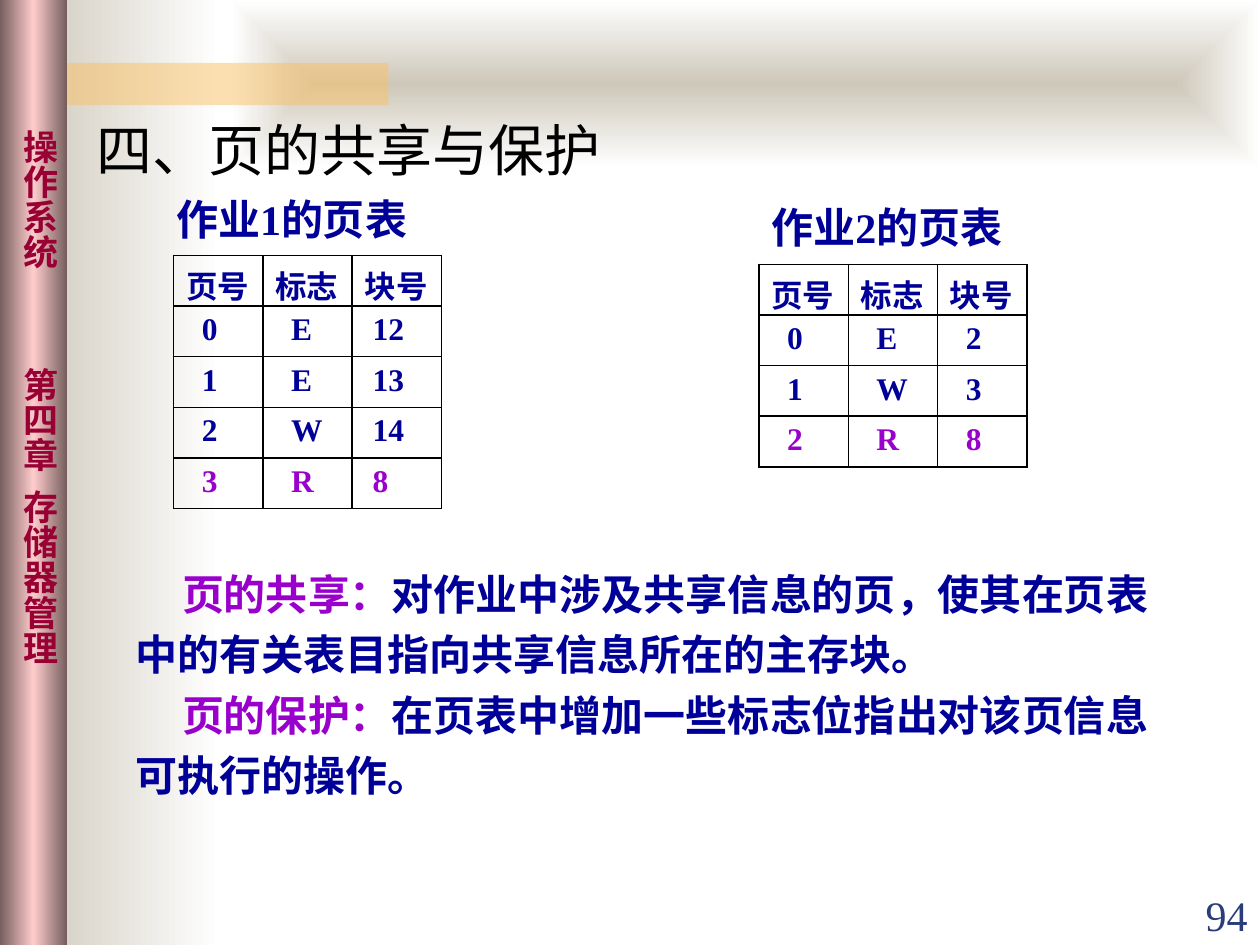
from pptx import Presentation
from pptx.dml.color import RGBColor
from pptx.enum.lang import MSO_LANGUAGE_ID
from pptx.enum.shapes import MSO_SHAPE
from pptx.enum.text import MSO_ANCHOR, MSO_AUTO_SIZE, PP_ALIGN
from pptx.oxml import parse_xml
from pptx.oxml.ns import nsdecls, qn
from pptx.oxml.xmlchemy import OxmlElement
from pptx.util import Cm, Pt

RECTANGLE = MSO_SHAPE.RECTANGLE
MIDDLE, BOTTOM = MSO_ANCHOR.MIDDLE, MSO_ANCHOR.BOTTOM
GROW = MSO_AUTO_SIZE.SHAPE_TO_FIT_TEXT
RIGHT = PP_ALIGN.RIGHT
CHINESE = MSO_LANGUAGE_ID.SIMPLIFIED_CHINESE

SERIF, SANS = "Times New Roman", "Noto Sans CJK SC"

BLACK = RGBColor(0x00, 0x00, 0x00)
WHITE = RGBColor(0xFF, 0xFF, 0xFF)
STONE = RGBColor(0xCE, 0xC8, 0xBA)
ORANGE = RGBColor(0xFA, 0xC1, 0x64)
MAUVE = RGBColor(0x76, 0x5E, 0x5E)
PINK = RGBColor(0xFF, 0xCC, 0xCC)
CRIMSON = RGBColor(0x99, 0x00, 0x33)
SLATE = RGBColor(0x2A, 0x3D, 0x7A)
NAVY = RGBColor(0x00, 0x00, 0x99)
PURPLE = RGBColor(0x99, 0x00, 0xCC)

LINEAR = '<a:lin ang="0" scaled="1"/>'
FROM_CENTRE = ('<a:path path="shape"><a:fillToRect l="50000" t="50000" '
               'r="50000" b="50000"/></a:path>')

COLUMN_WIDTH, ROW_HEIGHT = Cm(1.8), Cm(1.02)
HEADER = ("页号", "标志", "块号")


def set_values(target, values):
    for name, value in values.items():
        setattr(target, name, value)


def add_span(para, text, size, color, bold=False, font=SERIF):
    span = para.add_run()
    span.text = text
    set_values(span.font, {"name": font, "size": Pt(size), "bold": bold,
                           "language_id": CHINESE})
    span.font.color.rgb = color
    east_asian = OxmlElement("a:ea")
    east_asian.set("typeface", SANS)
    span.font._element.find(qn("a:latin")).addnext(east_asian)


def add_tabs(para, positions):
    tabs = OxmlElement("a:tabLst")
    for position in positions:
        tab = OxmlElement("a:tab")
        tab.set("pos", str(position))
        tab.set("algn", "l")
        tabs.append(tab)
    para._p.get_or_add_pPr().append(tabs)


def add_panel(page, left, top, width, height):
    panel = page.shapes.add_shape(RECTANGLE, Cm(left), Cm(top), Cm(width), Cm(height))
    panel.shadow.inherit = False
    panel.line.fill.background()
    return panel


def fill_gradient(panel, stops, direction):
    """Fill with (percent, colour) stops."""
    stop_xml = "".join(
        f'<a:gs pos="{percent * 1000}"><a:srgbClr val="{color}"/></a:gs>'
        for percent, color in stops)
    gradient = parse_xml(f'<a:gradFill {nsdecls("a")} rotWithShape="1">'
                         f'<a:gsLst>{stop_xml}</a:gsLst>{direction}</a:gradFill>')
    panel.fill.background()
    properties = panel._element.spPr
    properties.replace(properties.find(qn("a:noFill")), gradient)


def add_background(page):
    fade = [(0, STONE), (100, WHITE)]
    fill_gradient(add_panel(page, 0.43, 0, 4.01, 19.05), fade, LINEAR)
    fill_gradient(add_panel(page, 4.65, 0, 20.75, 3.38), fade, FROM_CENTRE)
    accent = add_panel(page, 0.84, 1.27, 6.99, 0.85)
    accent.fill.solid()
    accent.fill.fore_color.rgb = ORANGE
    alpha = OxmlElement("a:alpha")
    alpha.set("val", "50000")
    accent._element.spPr.find(qn("a:solidFill"))[0].append(alpha)


def add_side_bar(page):
    bar = add_panel(page, 0, 0, 1.35, 19.05)
    fill_gradient(bar, [(0, MAUVE), (50, PINK), (100, MAUVE)], LINEAR)
    frame = bar.text_frame
    set_values(frame, {"margin_left": Cm(0.25), "margin_right": 0,
                       "margin_top": Cm(2.62), "margin_bottom": 0,
                       "vertical_anchor": MIDDLE, "word_wrap": True})
    frame._txBody.bodyPr.set("vert", "eaVert")
    para = frame.paragraphs[0]
    para.alignment = PP_ALIGN.LEFT
    add_tabs(para, [Cm(4.8), Cm(7.26)])
    add_span(para, "操作系统\t第四章\t存储器管理", 20, CRIMSON, True, SANS)


def add_text(page, left, top, width, height, **frame_format):
    """Add a wrapping text box and return its text frame."""
    box = page.shapes.add_textbox(Cm(left), Cm(top), Cm(width), Cm(height))
    set_values(box.text_frame, {"word_wrap": True, **frame_format})
    return box.text_frame


def add_heading(page, text, left, top):
    frame = add_text(page, left, top, 5.7, 1.27, vertical_anchor=MIDDLE, auto_size=GROW)
    add_span(frame.paragraphs[0], text, 24, NAVY, True)


def add_borders(cell):
    properties = cell._tc.get_or_add_tcPr()
    for index, side in enumerate("LRTB"):
        properties.insert(index, parse_xml(
            f'<a:ln{side} {nsdecls("a")} w="12700"><a:solidFill>'
            f'<a:srgbClr val="{BLACK}"/></a:solidFill></a:ln{side}>'))


def add_page_table(page, left, top, rows, indents):
    """Add a page table whose last row, the shared page, is highlighted."""
    lines = [HEADER, *rows]
    table = page.shapes.add_table(
        len(lines), len(HEADER), Cm(left), Cm(top),
        COLUMN_WIDTH * len(HEADER), ROW_HEIGHT * len(lines)).table
    set_values(table, {"first_row": False, "horz_banding": False})
    for row_index, line in enumerate(lines):
        is_header = row_index == 0
        color = PURPLE if line is lines[-1] else NAVY
        for column, text in enumerate(line):
            cell = table.cell(row_index, column)
            set_values(cell, {
                "margin_left": Cm(0.25 if is_header else indents[column]),
                "margin_right": 0, "margin_top": Cm(0.13), "margin_bottom": 0})
            cell.fill.background()
            add_borders(cell)
            add_span(cell.text_frame.paragraphs[0], text, 18, color, True)


def add_definitions(page, definitions):
    frame = add_text(page, 2.49, 11.13, 21.59, 5.13, vertical_anchor=MIDDLE, auto_size=GROW)
    for index, (term, meaning) in enumerate(definitions):
        para = frame.add_paragraph() if index else frame.paragraphs[0]
        para.line_spacing = 1.2
        para._p.get_or_add_pPr().set("indent", str(Cm(0.93)))
        add_span(para, term, 24, PURPLE, True)
        add_span(para, meaning, 24, NAVY, True)


def main():
    deck = Presentation()
    set_values(deck, {"slide_width": Cm(25.4), "slide_height": Cm(19.05)})
    page = deck.slides.add_slide(deck.slide_layouts[6])
    add_background(page)
    add_side_bar(page)

    number = add_text(page, 22.86, 17.81, 2.54, 1.27, vertical_anchor=BOTTOM).paragraphs[0]
    number.alignment = RIGHT
    add_span(number, "94", 24, SLATE)

    title = add_text(page, 1.7, 1.93, 20.02, 1.88, auto_size=GROW).paragraphs[0]
    title.line_spacing = 1.2
    add_span(title, "四、页的共享与保护", 32, BLACK)

    add_heading(page, "作业1的页表", 3.3, 3.78)
    add_page_table(page, 3.5, 5.15,
                   [("0", "E", "12"), ("1", "E", "13"), ("2", "W", "14"), ("3", "R", "8")],
                   (0.57, 0.57, 0.41))
    add_heading(page, "作业2的页表", 15.3, 3.94)
    add_page_table(page, 15.3, 5.33,
                   [("0", "E", "2"), ("1", "W", "3"), ("2", "R", "8")],
                   (0.57, 0.57, 0.57))
    add_definitions(page, [
        ("页的共享：", "对作业中涉及共享信息的页，使其在页表中的有关表目指向共享信息所在的主存块。"),
        ("页的保护：", "在页表中增加一些标志位指出对该页信息可执行的操作。"),
    ])
    deck.save("out.pptx")


if __name__ == "__main__":
    main()
